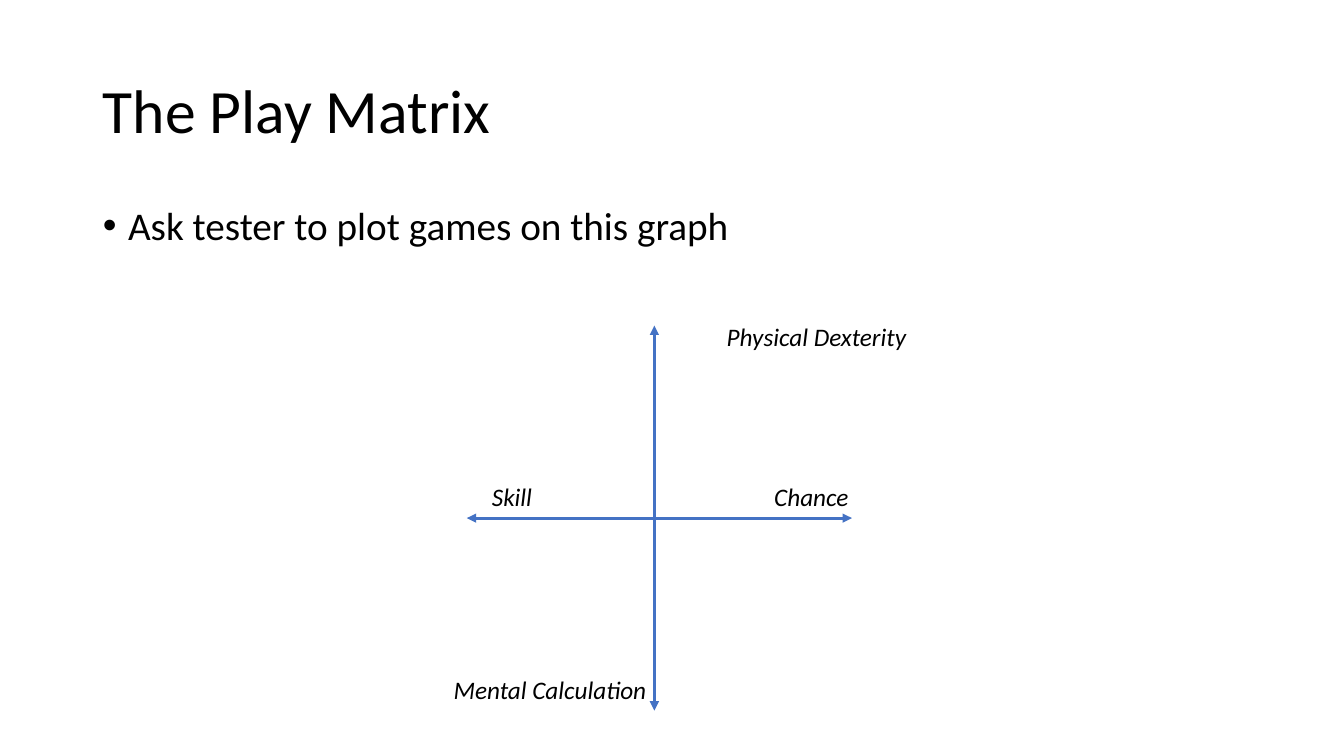
from dataclasses import dataclass

from lxml import etree
from pptx import Presentation
from pptx.dml.color import RGBColor
from pptx.enum.shapes import MSO_CONNECTOR
from pptx.enum.text import MSO_ANCHOR, MSO_AUTO_SIZE, PP_ALIGN
from pptx.oxml.ns import qn
from pptx.shapes.group import GroupShape
from pptx.text.text import _Paragraph
from pptx.util import Inches, Pt

STRAIGHT = MSO_CONNECTOR.STRAIGHT
TOP, MIDDLE = MSO_ANCHOR.TOP, MSO_ANCHOR.MIDDLE
NO_FIT, GROW = MSO_AUTO_SIZE.NONE, MSO_AUTO_SIZE.SHAPE_TO_FIT_TEXT
LEFT = PP_ALIGN.LEFT

BLACK = RGBColor(0x00, 0x00, 0x00)
BLUE = RGBColor(0x44, 0x72, 0xC4)

MARGIN, CONTENT_WIDTH = 0.92, 11.5
CENTRE_X, CENTRE_Y = 6.49, 5.14
LABEL_HEIGHT = 0.4


@dataclass(frozen=True)
class Axis:
    start: tuple[float, float]
    end: tuple[float, float]


@dataclass(frozen=True)
class AxisLabel:
    text: str
    left: float
    top: float
    width: float


AXES = [
    Axis((CENTRE_X, 7.05), (CENTRE_X, 3.23)),
    Axis((4.63, CENTRE_Y), (8.45, CENTRE_Y)),
]
AXIS_LABELS = [
    AxisLabel("Chance", 7.08, 4.73, 1.45),
    AxisLabel("Skill", 4.28, 4.73, 1.11),
    AxisLabel("Mental Calculation", 3.9, 6.64, 2.64),
    AxisLabel("Physical Dexterity", 6.61, 3.14, 2.5),
]


def set_all(target: object, values: dict) -> None:
    for name, value in values.items():
        setattr(target, name, value)


def write(paragraph: _Paragraph, text: str, size: int, italic: bool = False) -> None:
    run = paragraph.add_run()
    run.text = text
    set_all(run.font, {"name": "Calibri", "size": Pt(size), "italic": italic})
    run.font.color.rgb = BLACK
    paragraph.alignment = LEFT


def indent(paragraph: _Paragraph, margin: float, first_line: float) -> None:
    properties = paragraph._p.get_or_add_pPr()
    properties.set("marL", str(Inches(margin)))
    properties.set("indent", str(Inches(first_line)))


def fill_placeholder(placeholder, text: str, size: int, top: float,
                     height: float, anchor: MSO_ANCHOR) -> _Paragraph:
    set_all(placeholder, {"left": Inches(MARGIN), "top": Inches(top),
                          "width": Inches(CONTENT_WIDTH), "height": Inches(height)})
    frame = placeholder.text_frame
    set_all(frame, {"word_wrap": True, "auto_size": NO_FIT, "vertical_anchor": anchor})
    paragraph = frame.paragraphs[0]
    write(paragraph, text, size)
    paragraph.line_spacing = 0.9
    return paragraph


def add_bullet(paragraph: _Paragraph) -> None:
    indent(paragraph, 0.25, -0.25)
    properties = paragraph._p.get_or_add_pPr()
    etree.SubElement(properties, qn("a:buFont"), typeface="Arial")
    etree.SubElement(properties, qn("a:buChar"), char="•")


def draw_axis(matrix: GroupShape, axis: Axis) -> None:
    points = [Inches(value) for value in (*axis.start, *axis.end)]
    connector = matrix.shapes.add_connector(STRAIGHT, *points)
    connector.line.color.rgb = BLUE
    connector.line.width = Pt(2.25)
    line = connector.line._get_or_add_ln()
    for arrowhead in ("a:headEnd", "a:tailEnd"):
        etree.SubElement(line, qn(arrowhead), type="triangle")
    etree.SubElement(connector._element.spPr, qn("a:effectLst"))


def draw_label(matrix: GroupShape, label: AxisLabel) -> None:
    box = matrix.shapes.add_textbox(Inches(label.left), Inches(label.top),
                                    Inches(label.width), Inches(LABEL_HEIGHT))
    set_all(box.text_frame, {"word_wrap": False, "auto_size": GROW})
    paragraph = box.text_frame.paragraphs[0]
    paragraph.level = 1
    indent(paragraph, 0.5, 0)
    write(paragraph, label.text, 18, italic=True)


def main() -> None:
    presentation = Presentation()
    set_all(presentation, {"slide_width": Inches(13.33), "slide_height": Inches(7.5)})
    slide = presentation.slides.add_slide(presentation.slide_layouts[1])

    fill_placeholder(slide.shapes.title, "The Play Matrix", 44, 0.4, 1.45, MIDDLE)
    task = fill_placeholder(slide.placeholders[1], "Ask tester to plot games on this graph",
                            28, 2, 4.76, TOP)
    task.space_before = Pt(10)
    add_bullet(task)

    matrix = slide.shapes.add_group_shape()
    for axis in AXES:
        draw_axis(matrix, axis)
    for label in AXIS_LABELS:
        draw_label(matrix, label)

    presentation.save("out.pptx")


if __name__ == "__main__":
    main()
